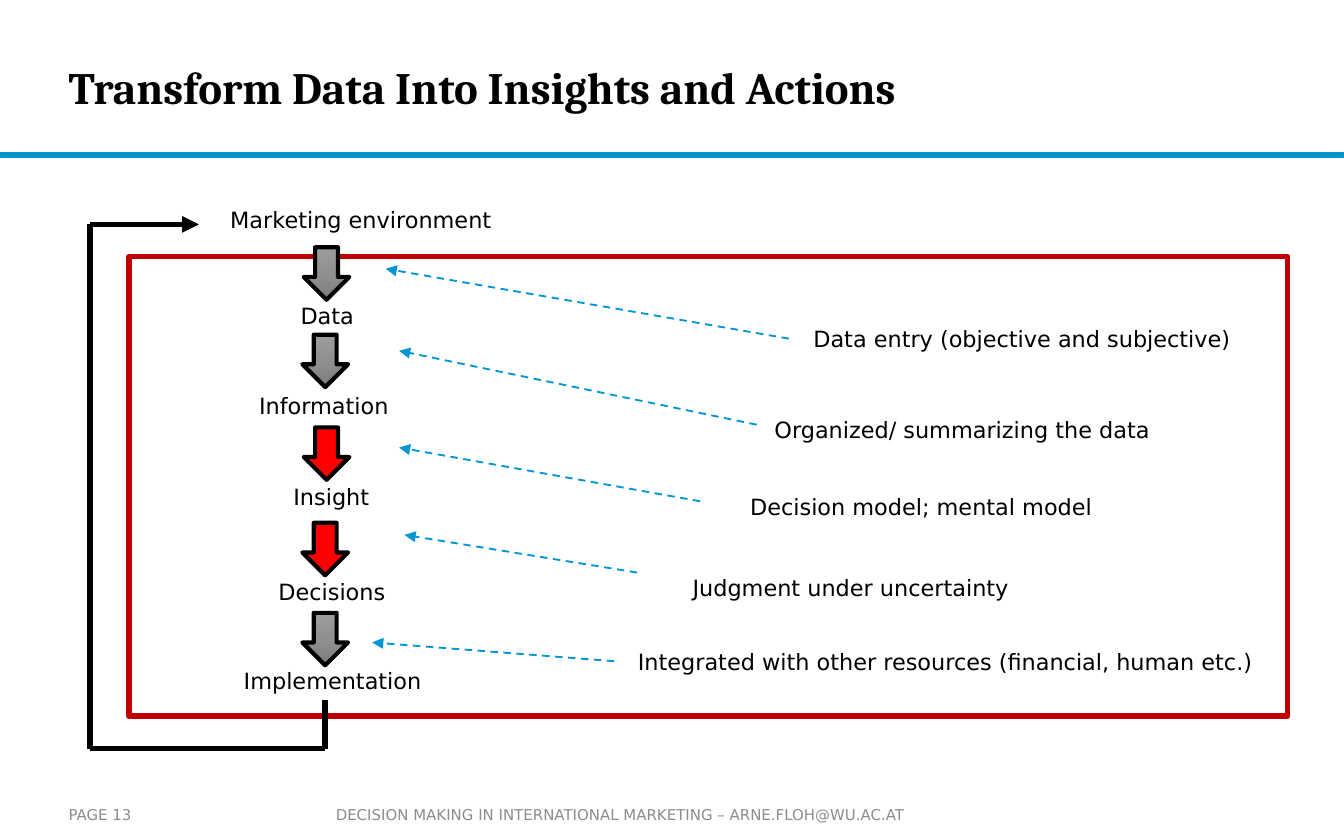
from copy import deepcopy

from pptx import Presentation
from pptx.dml.color import RGBColor
from pptx.enum.dml import MSO_LINE_DASH_STYLE as Dash
from pptx.enum.shapes import MSO_CONNECTOR as Connector, MSO_SHAPE as Shape
from pptx.enum.text import MSO_ANCHOR as Anchor, PP_ALIGN as Align
from pptx.oxml.ns import qn
from pptx.util import Emu, Pt
from lxml.etree import SubElement

PX = 9144  # 100 px to the inch
COLORS = {"black": "000000", "blue": "0096D3", "rule": "0C94B7",
          "footer": "8C8C8C", "frame": "C00000", "red": "FF0000"}
GRAYS = [(0, "9D9D9D"), (0.5, "909090"), (1, "7C7C7C")]
COLOR = {name: RGBColor.from_string(code) for name, code in COLORS.items()}

deck = Presentation()
deck.slide_width, deck.slide_height = Emu(1000 * PX), Emu(625 * PX)
page = deck.slides.add_slide(deck.slide_layouts[5])


def add_text(text, left, top, width, height, size=12, color="black",
             align=Align.CENTER, side=10):
    box = page.shapes.add_textbox(*(Emu(n * PX) for n in (left, top, width, height)))
    frame = box.text_frame
    frame.word_wrap = True
    frame.vertical_anchor = Anchor.MIDDLE
    frame.margin_left = frame.margin_right = Emu(side * PX)
    para = frame.paragraphs[0]
    para.alignment = align
    span = para.add_run()
    span.text = text
    span.font.name = "DejaVu Sans"
    span.font.size = Pt(size)
    span.font.color.rgb = COLOR[color]


def add_line(start, end, color, weight, head=False, dash=None):
    line = page.shapes.add_connector(
        Connector.STRAIGHT, *(Emu(n * PX) for n in (*start, *end)))
    line.line.color.rgb = COLOR[color]
    line.line.width = Pt(weight)
    if dash:
        line.line.dash_style = dash
    if head:
        SubElement(line.line._get_or_add_ln(), qn("a:tailEnd"), type="triangle")
    SubElement(line._element.spPr, qn("a:effectLst"))


# Header and footer
rule = page.shapes.add_shape(Shape.RECTANGLE, 0, 114 * PX, 1000 * PX, 3 * PX)
rule.shadow.inherit = False
rule.fill.solid()
rule.fill.fore_color.rgb = COLOR["rule"]
rule.line.color.rgb = COLOR["blue"]
rule.line.width = Pt(1)

add_text("DECISION MAKING IN INTERNATIONAL MARKETING – ARNE.FLOH@WU.AC.AT",
         240, 592, 469, 28, 8, "footer", Align.LEFT)
add_text("PAGE 13", 51, 592, 98, 28, 8, "footer", Align.LEFT, 0)

title = page.shapes.title
title.left, title.top, title.width, title.height = (
    Emu(n * PX) for n in (51, 15, 748, 99))
frame = title.text_frame
frame.word_wrap = True
frame.vertical_anchor = Anchor.MIDDLE
frame.margin_left = frame.margin_right = frame.margin_top = frame.margin_bottom = 0
para = frame.paragraphs[0]
para.alignment = Align.LEFT
span = para.add_run()
span.text = "Transform Data Into Insights and Actions"
span.font.name = "Cambria"
span.font.size = Pt(24)
span.font.bold = True
span.font.color.rgb = COLOR["black"]

# Stages: text, left, top, width
stages = [
    ("Marketing environment", 126, 143, 285),
    ("Data", 199, 214, 89),
    ("Information", 179, 281, 124),
    ("Insight", 202, 349, 89),
    ("Decisions", 195, 420, 104),
    ("Implementation", 162, 486, 171),
]
for text, left, top, width in stages:
    add_text(text, left, top, width, 41)

# Explanations: text, box, pointer start and end
notes = [
    ("Data entry (objective and subjective)", (587, 235, 347, 34), (587, 252), (287, 200)),
    ("Organized/ summarizing the data", (500, 303, 432, 34), (563, 316), (297, 261)),
    ("Decision model; mental model", (500, 360, 371, 34), (521, 373), (297, 333)),
    ("Judgment under uncertainty", (487, 420, 292, 34), (474, 426), (301, 398)),
    ("Integrated with other resources (financial, human etc.)",
     (457, 473, 493, 39), (457, 492), (277, 478)),
]
for text, place, start, end in notes:
    add_text(text, *place)
    add_line(start, end, "blue", 1, head=True, dash=Dash.DASH)

# Frame around the process
border = page.shapes.add_shape(
    Shape.RECTANGLE, *(Emu(n * PX) for n in (96, 191, 862, 342)))
border.shadow.inherit = False
border.fill.background()
border.line.color.rgb = COLOR["frame"]
border.line.width = Pt(3)

# Feedback loop from the last stage to the first
corners = [(242, 521), (242, 557), (67, 557), (67, 167), (148, 167)]
for start, end in zip(corners, corners[1:]):
    add_line(start, end, "black", 3, head=end == corners[-1])

# Arrows between stages: left, top, highlighted
steps = [(226, 184, False), (225, 249, False), (226, 318, True),
         (225, 389, True), (225, 456, False)]
for left, top, highlighted in steps:
    arrow = page.shapes.add_shape(
        Shape.DOWN_ARROW, *(Emu(n * PX) for n in (left, top, 34, 39)))
    arrow.shadow.inherit = False
    arrow.line.color.rgb = COLOR["black"]
    arrow.line.width = Pt(2.25)
    if highlighted:
        arrow.fill.solid()
        arrow.fill.fore_color.rgb = COLOR["red"]
        continue
    arrow.fill.gradient()
    arrow.fill.gradient_angle = 270
    stop_list = arrow._element.spPr.find(".//" + qn("a:gsLst"))
    stop_list.insert(1, deepcopy(stop_list[0]))
    for stop, (position, gray) in zip(arrow.fill.gradient_stops, GRAYS):
        stop.position = position
        stop.color.rgb = RGBColor.from_string(gray)

deck.save("out.pptx")
